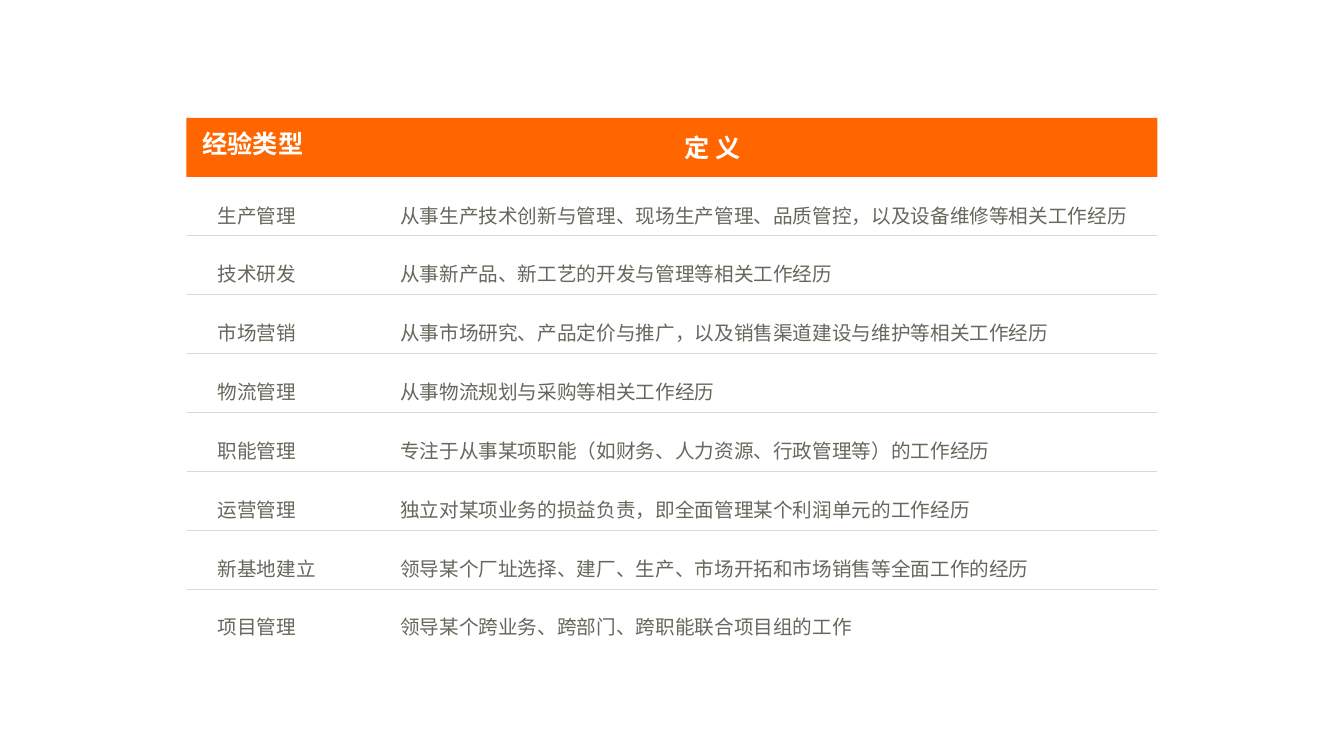
"""Build a slide that lists types of work experience and their definitions."""
from typing import NamedTuple

from lxml import etree
from pptx import Presentation
from pptx.dml.color import RGBColor
from pptx.enum.shapes import MSO_CONNECTOR, MSO_SHAPE
from pptx.enum.text import MSO_AUTO_SIZE, PP_ALIGN
from pptx.oxml.ns import qn
from pptx.util import Inches, Pt

RECTANGLE = MSO_SHAPE.RECTANGLE
STRAIGHT = MSO_CONNECTOR.STRAIGHT
GROW = MSO_AUTO_SIZE.SHAPE_TO_FIT_TEXT
LEFT, JUSTIFY = PP_ALIGN.LEFT, PP_ALIGN.JUSTIFY

SLIDE_WIDTH, SLIDE_HEIGHT = 13.33, 7.5
GRID_LEFT, GRID_RIGHT = 1.85, 11.48
GRID_TOP, LAST_RULE = 1.17, 5.85
FONT = "Noto Sans CJK SC"
ORANGE, WHITE, GREY, RULE_GREY = "FF6600", "FFFFFF", "68675C", "D9D9D9"


class Box(NamedTuple):
    """Place and size in inches."""
    left: float
    top: float
    width: float
    height: float


class Experience(NamedTuple):
    """A type of experience and its definition."""
    kind: str
    definition: str


class Heading(NamedTuple):
    """A column title and its place."""
    title: str
    box: Box


EXPERIENCES = [
    Experience("生产管理", "从事生产技术创新与管理、现场生产管理、品质管控，以及设备维修等相关工作经历"),
    Experience("技术研发", "从事新产品、新工艺的开发与管理等相关工作经历"),
    Experience("市场营销", "从事市场研究、产品定价与推广，以及销售渠道建设与维护等相关工作经历"),
    Experience("物流管理", "从事物流规划与采购等相关工作经历"),
    Experience("职能管理", "专注于从事某项职能（如财务、人力资源、行政管理等）的工作经历"),
    Experience("运营管理", "独立对某项业务的损益负责，即全面管理某个利润单元的工作经历"),
    Experience("新基地建立", "领导某个厂址选择、建厂、生产、市场开拓和市场销售等全面工作的经历"),
    Experience("项目管理", "领导某个跨业务、跨部门、跨职能联合项目组的工作"),
]
HEADINGS = [
    Heading("经验类型", Box(1.91, 1.22, 1.2, 0.4)),
    Heading("定 义", Box(6.69, 1.26, 0.77, 0.4)),
]
ROW = (LAST_RULE - GRID_TOP) / len(EXPERIENCES)
KIND_BOX = Box(2.06, 1.62, 1.23, 4.81)
DEFINITION_BOX = Box(3.87, 1.62, 7.61, 4.81)


def color(value: str) -> RGBColor:
    """Turn a hex string into a colour."""
    return RGBColor.from_string(value)


def add_text(slide, box: Box, lines: list[str], *, size: float = 14, fill: str = GREY,
             bold: bool = False, wrap: bool = True, align: PP_ALIGN = LEFT,
             spacing: float = 1.0) -> None:
    """Add a text box with one paragraph for each line."""
    frame = slide.shapes.add_textbox(*map(Inches, box)).text_frame
    frame.word_wrap = wrap
    frame.auto_size = GROW
    for index, line in enumerate(lines):
        paragraph = frame.add_paragraph() if index else frame.paragraphs[0]
        paragraph.alignment = align
        paragraph.line_spacing = spacing
        run = paragraph.add_run()
        run.text = line
        run.font.size = Pt(size)
        run.font.bold = bold
        run.font.color.rgb = color(fill)
        run.font.name = FONT
        etree.SubElement(run.font._element, qn("a:ea"), typeface=FONT)


def add_header_bar(slide) -> None:
    """Add the coloured bar behind the column titles."""
    box = Box(GRID_LEFT, GRID_TOP, GRID_RIGHT - GRID_LEFT, ROW)
    bar = slide.shapes.add_shape(RECTANGLE, *map(Inches, box))
    bar.shadow.inherit = False
    bar.fill.solid()
    bar.fill.fore_color.rgb = color(ORANGE)
    bar.line.fill.background()


def add_row_rules(slide) -> None:
    """Add a group of thin lines between the rows."""
    group = slide.shapes.add_group_shape()
    for row in range(2, len(EXPERIENCES) + 1):
        height = Inches(GRID_TOP + row * ROW)
        rule = group.shapes.add_connector(
            STRAIGHT, Inches(GRID_LEFT), height, Inches(GRID_RIGHT), height)
        rule.line.color.rgb = color(RULE_GREY)
        rule.line.width = Pt(0.5)
        etree.SubElement(rule._element.spPr, qn("a:effectLst"))


def main() -> None:
    """Build and save the slide."""
    deck = Presentation()
    deck.slide_width, deck.slide_height = Inches(SLIDE_WIDTH), Inches(SLIDE_HEIGHT)
    slide = deck.slides.add_slide(deck.slide_layouts[6])
    add_text(slide, KIND_BOX, [item.kind for item in EXPERIENCES], spacing=2.5)
    add_text(slide, DEFINITION_BOX, [item.definition for item in EXPERIENCES], spacing=2.5)
    add_header_bar(slide)
    for heading in HEADINGS:
        add_text(slide, heading.box, [heading.title], size=18, fill=WHITE, bold=True,
                 wrap=False, align=JUSTIFY)
    add_row_rules(slide)
    deck.save("out.pptx")


if __name__ == "__main__":
    main()
